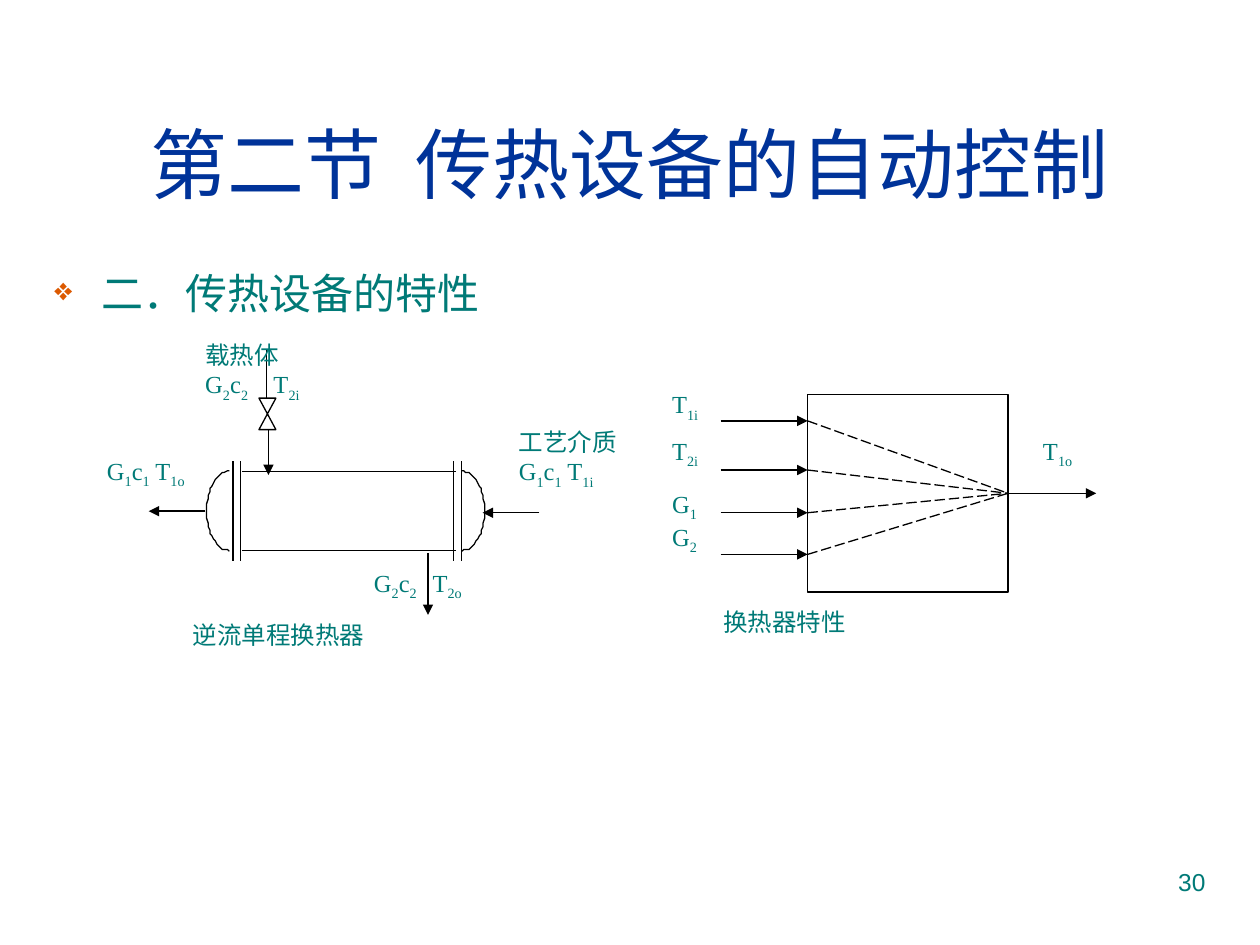
from dataclasses import dataclass
from math import cos, pi, sin

from lxml import etree
from pptx import Presentation
from pptx.dml.color import RGBColor
from pptx.enum import dml, shapes, text
from pptx.oxml import ns
from pptx.util import Pt


@dataclass(frozen=True)
class Theme:
    title: RGBColor = RGBColor(0x00, 0x33, 0x99)
    body: RGBColor = RGBColor(0x00, 0x7A, 0x77)
    bullet: str = "DC5900"
    ink: RGBColor = RGBColor(0, 0, 0)
    paper: RGBColor = RGBColor(255, 255, 255)
    sans: str = "Arial"
    serif: str = "Times New Roman"
    title_size: int = 44
    body_size: int = 24
    label_size: int = 14
    line: float = 0.75


THEME = Theme()


def add_xml(parent, tag, **attributes):
    return etree.SubElement(parent, ns.qn(tag), attributes)


def add_text(slide, box, lines, size=THEME.label_size, font=THEME.serif,
             color=THEME.body, align=text.PP_ALIGN.LEFT,
             anchor=text.MSO_ANCHOR.TOP, tab=None, bullet=None):
    """Write lines of text; braces mark subscripts, as in T{1o}."""
    frame = slide.shapes.add_textbox(*map(Pt, box)).text_frame
    frame.word_wrap = True
    frame.vertical_anchor = anchor
    for index, line in enumerate(lines):
        paragraph = frame.paragraphs[0] if index == 0 else frame.add_paragraph()
        paragraph.alignment = align
        properties = paragraph._p.get_or_add_pPr()
        if bullet:
            properties.set("marL", str(Pt(27)))
            properties.set("indent", str(-Pt(27)))
            add_xml(add_xml(properties, "a:buClr"), "a:srgbClr", val=THEME.bullet)
            add_xml(properties, "a:buSzPct", val="75000")
            add_xml(properties, "a:buChar", char=bullet)
        if tab:
            add_xml(add_xml(properties, "a:tabLst"), "a:tab", pos=str(Pt(tab)), algn="l")
        paragraph.font.size = Pt(size)
        paragraph.font.name = font
        paragraph.font.color.rgb = color
        for part, words in enumerate(line.replace("}", "{").split("{")):
            if words:
                run = paragraph.add_run()
                run.text = words
                if part % 2:
                    run.font._element.set("baseline", "-25000")


def style_line(line):
    line.color.rgb = THEME.ink
    line.width = Pt(THEME.line)


def add_line(slide, x1, y1, x2, y2, arrow=False, dashed=False):
    connector = slide.shapes.add_connector(
        shapes.MSO_CONNECTOR.STRAIGHT, Pt(x1), Pt(y1), Pt(x2), Pt(y2))
    style_line(connector.line)
    if dashed:
        connector.line.dash_style = dml.MSO_LINE.LONG_DASH
    if arrow:
        add_xml(connector.line._get_or_add_ln(), "a:tailEnd", type="triangle")
    add_xml(connector._element.spPr, "a:effectLst")
    return connector


def add_preset(slide, kind, *box):
    shape = slide.shapes.add_shape(kind, *map(Pt, box))
    shape.shadow.inherit = False
    shape.fill.solid()
    shape.fill.fore_color.rgb = THEME.paper
    style_line(shape.line)
    return shape


def add_end_cap(slide, x, top, bottom, bulge):
    """Draw half an ellipse that bulges to the right, or left if negative."""
    steps = 32
    middle, radius = (top + bottom) / 2, (bottom - top) / 2
    points = [(x + bulge * sin(pi * step / steps),
               middle - radius * cos(pi * step / steps))
              for step in range(steps + 1)]
    builder = slide.shapes.build_freeform(*points[0], scale=Pt(1))
    builder.add_line_segments(points[1:], close=False)
    cap = builder.convert_to_shape()
    cap.shadow.inherit = False
    cap.fill.background()
    style_line(cap.line)


def add_headings(slide, left, top, width):
    add_text(slide, (left, top, width, 90), ["第二节  传热设备的自动控制"],
             THEME.title_size, THEME.sans, THEME.title,
             text.PP_ALIGN.CENTER, text.MSO_ANCHOR.MIDDLE)
    add_text(slide, (left, top + 101.5, width, 330), ["二．传热设备的特性"],
             THEME.body_size, THEME.sans, bullet="❖")


def add_heat_exchanger(slide, left, top):
    def line(x1, y1, x2, y2, arrow=False):
        add_line(slide, left + x1, top + y1, left + x2, top + y2, arrow)

    # Shell, flanges and end caps
    shell_top, shell_bottom = 79.3, 124.6
    for y in (shell_top, shell_bottom):
        line(84.2, y, 206.6, y)
    for x in (79.2, 83.6, 205.2, 209.9):
        line(x, 73.5, x, 130.4)
    for x, bulge in ((77, -12.9), (209.9, 12.9)):
        add_end_cap(slide, left + x, top + shell_top, top + shell_bottom, bulge)

    # Flows and inlet valve
    line(254.2, 103, 221.8, 103, arrow=True)
    line(63.4, 102.1, 31, 102.1, arrow=True)
    line(190.6, 126, 190.6, 161.4, arrow=True)
    line(99.4, 55.5, 99.4, 81.4, arrow=True)
    add_preset(slide, shapes.MSO_SHAPE.FLOWCHART_COLLATE,
               left + 94, top + 37.5, 9.7, 18)
    line(98.5, 37.5, 98.5, 9.4)

    # Labels
    for x, y, width, height, lines, tab in (
            (0, 67, 92, 102, ["G{1}c{1} T{1o}"], None),
            (152.6, 131.1, 92, 28, ["G{2}c{2}\tT{2o}"], 33.5),
            (56.2, 0.8, 92, 50, ["载热体", "G{2}c{2}\tT{2i}"], 39),
            (235.4, 50.5, 76, 63, ["工艺介质", "G{1}c{1} T{1i}"], None),
            (49, 160.6, 215, 45, ["逆流单程换热器"], None)):
        add_text(slide, (left + x, top + y, width, height), lines, tab=tab)


def add_characteristic(slide, left, top):
    # Block and its output
    block_left, block_width = left + 84.5, 114.5
    block = add_preset(slide, shapes.MSO_SHAPE.RECTANGLE,
                       block_left, top + 6.4, block_width, 113)
    block_right, middle = block_left + block_width, top + 62.9
    output = add_line(slide, block_right, middle, left + 249.4, middle, arrow=True)
    output.begin_connect(block, 3)

    # Inputs, each with a dashed path to the output
    for y in (21.5, 49.6, 74, 97.8):
        add_line(slide, left + 34.8, top + y, block_left, top + y, arrow=True)
        path = add_line(slide, block_left, top + y, block_right, middle, dashed=True)
        path.end_connect(block, 3)

    # Labels
    for x, y, width, height, lines in (
            (0, 0, 50, 28, ["T{1i}"]),
            (0, 26.5, 50, 30, ["T{2i}"]),
            (0, 56.8, 32, 47, ["G{1}", "G{2}"]),
            (211.9, 26.5, 59, 56, ["T{1o}"]),
            (29.1, 124.4, 245, 35, ["换热器特性"])):
        add_text(slide, (left + x, top + y, width, height), lines)


def add_slide_number(slide, *box):
    add_text(slide, box, ["30"], font=THEME.sans, align=text.PP_ALIGN.RIGHT)


def main():
    presentation = Presentation()
    presentation.slide_width, presentation.slide_height = Pt(720), Pt(540)
    slide = presentation.slides.add_slide(presentation.slide_layouts[6])
    add_headings(slide, 24, 48, 672)
    add_heat_exchanger(slide, 54, 190)
    add_characteristic(slide, 377, 219)
    add_slide_number(slide, 516, 492, 180, 37)
    presentation.save("out.pptx")


if __name__ == "__main__":
    main()
